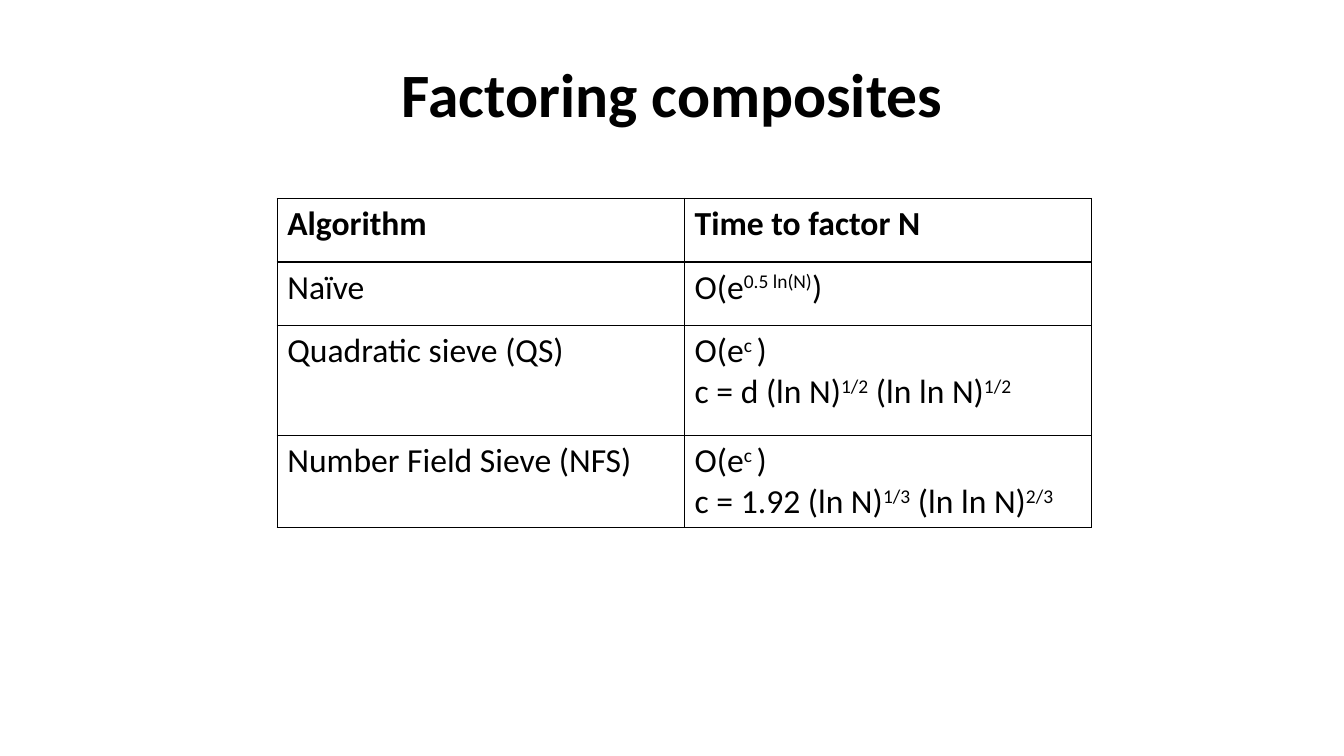
from lxml import etree
from pptx import Presentation
from pptx.dml.color import RGBColor
from pptx.enum.text import MSO_ANCHOR, PP_ALIGN
from pptx.oxml.ns import qn
from pptx.util import Inches, Pt

LEFT, CENTER = PP_ALIGN.LEFT, PP_ALIGN.CENTER
MIDDLE = MSO_ANCHOR.MIDDLE
FONT = "Calibri"
COLORS = {"ink": "000000"}
BORDER_SIDES = ("a:lnL", "a:lnR", "a:lnT", "a:lnB")

COLUMN_WIDTHS = (4.04, 4.04)
ROW_HEIGHTS = (0.63, 0.63, 1.09, 0.91)
# Carets enclose superscripts.
ALGORITHMS = (
    ("Algorithm", "Time to factor N"),
    ("Naïve", "O(e^0.5 ln(N)^)"),
    ("Quadratic sieve (QS)", "O(e^c ^)\nc = d (ln N)^1/2^ (ln ln N)^1/2^"),
    ("Number Field Sieve (NFS)", "O(e^c ^)\nc = 1.92 (ln N)^1/3^ (ln ln N)^2/3^"),
)


def write_text(text_frame, text, size=24, bold=False, color="ink", align=LEFT):
    """Write one paragraph per line, raising the parts between carets."""
    text_frame.word_wrap = True
    for line_number, line in enumerate(text.split("\n")):
        paragraph = text_frame.add_paragraph() if line_number else text_frame.paragraphs[0]
        paragraph.alignment = align
        for part_number, part in enumerate(line.split("^")):
            if not part:
                continue
            run = paragraph.add_run()
            run.text = part
            run.font.name = FONT
            run.font.size = Pt(size)
            run.font.bold = bold
            run.font.color.rgb = RGBColor.from_string(COLORS[color])
            if part_number % 2:
                run._r.get_or_add_rPr().set("baseline", "30000")


def add_title(slide, text):
    box = slide.shapes.add_textbox(Inches(0.67), Inches(0.3), Inches(12), Inches(1.25))
    box.text_frame.vertical_anchor = MIDDLE
    write_text(box.text_frame, text, size=44, bold=True, align=CENTER)


def set_borders(cell, color="ink", width=1):
    properties = cell._tc.get_or_add_tcPr()
    for position, side in enumerate(BORDER_SIDES):
        line = etree.Element(qn(side), w=str(Pt(width)))
        fill = etree.SubElement(line, qn("a:solidFill"))
        etree.SubElement(fill, qn("a:srgbClr"), val=COLORS[color])
        properties.insert(position, line)


def add_algorithm_table(slide, rows):
    table = slide.shapes.add_table(
        len(rows), len(COLUMN_WIDTHS), Inches(2.75), Inches(1.97),
        Inches(sum(COLUMN_WIDTHS)), Inches(sum(ROW_HEIGHTS)),
    ).table
    table.first_row = table.horz_banding = False
    for column, width in zip(table.columns, COLUMN_WIDTHS):
        column.width = Inches(width)
    for row_number, texts in enumerate(rows):
        table.rows[row_number].height = Inches(ROW_HEIGHTS[row_number])
        for column_number, text in enumerate(texts):
            cell = table.cell(row_number, column_number)
            cell.fill.background()
            set_borders(cell)
            write_text(cell.text_frame, text, bold=row_number == 0)


def main():
    presentation = Presentation()
    presentation.slide_width = Inches(13.33)
    presentation.slide_height = Inches(7.5)
    slide = presentation.slides.add_slide(presentation.slide_layouts[6])
    add_title(slide, "Factoring composites")
    add_algorithm_table(slide, ALGORITHMS)
    presentation.save("out.pptx")


if __name__ == "__main__":
    main()
